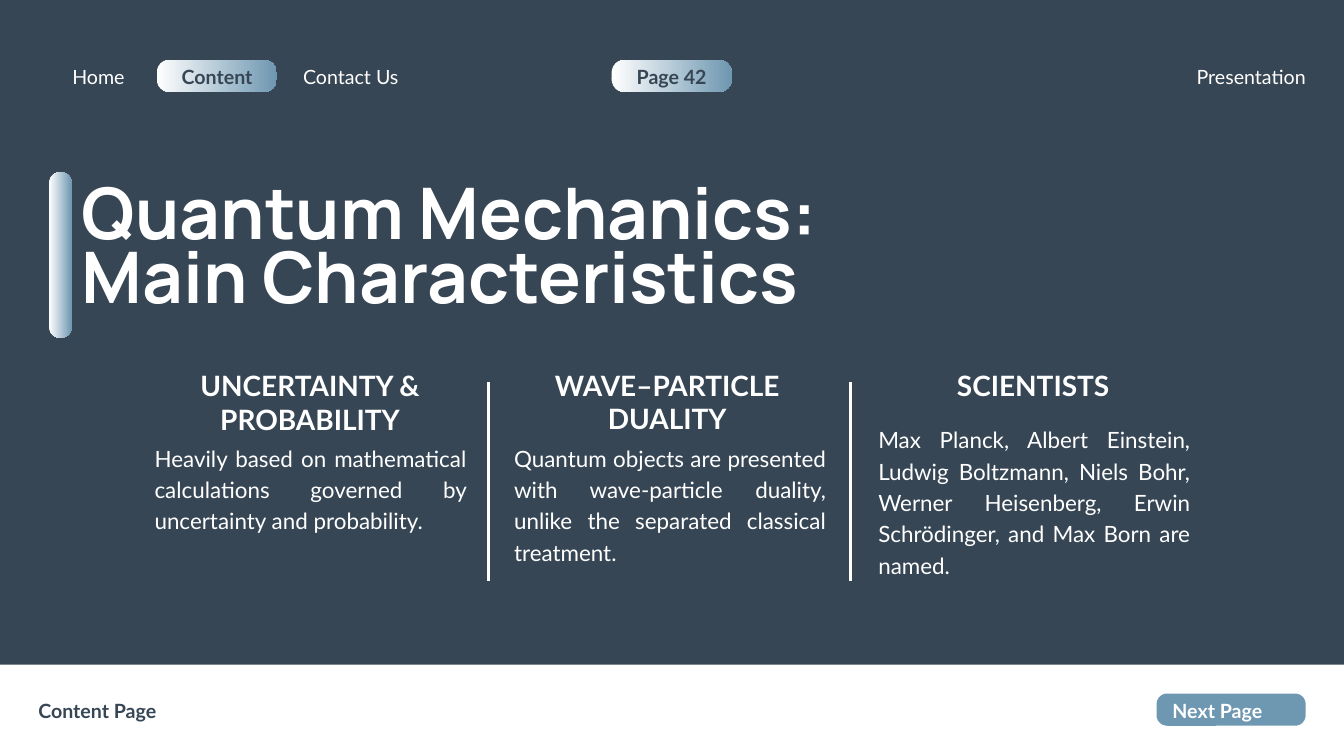
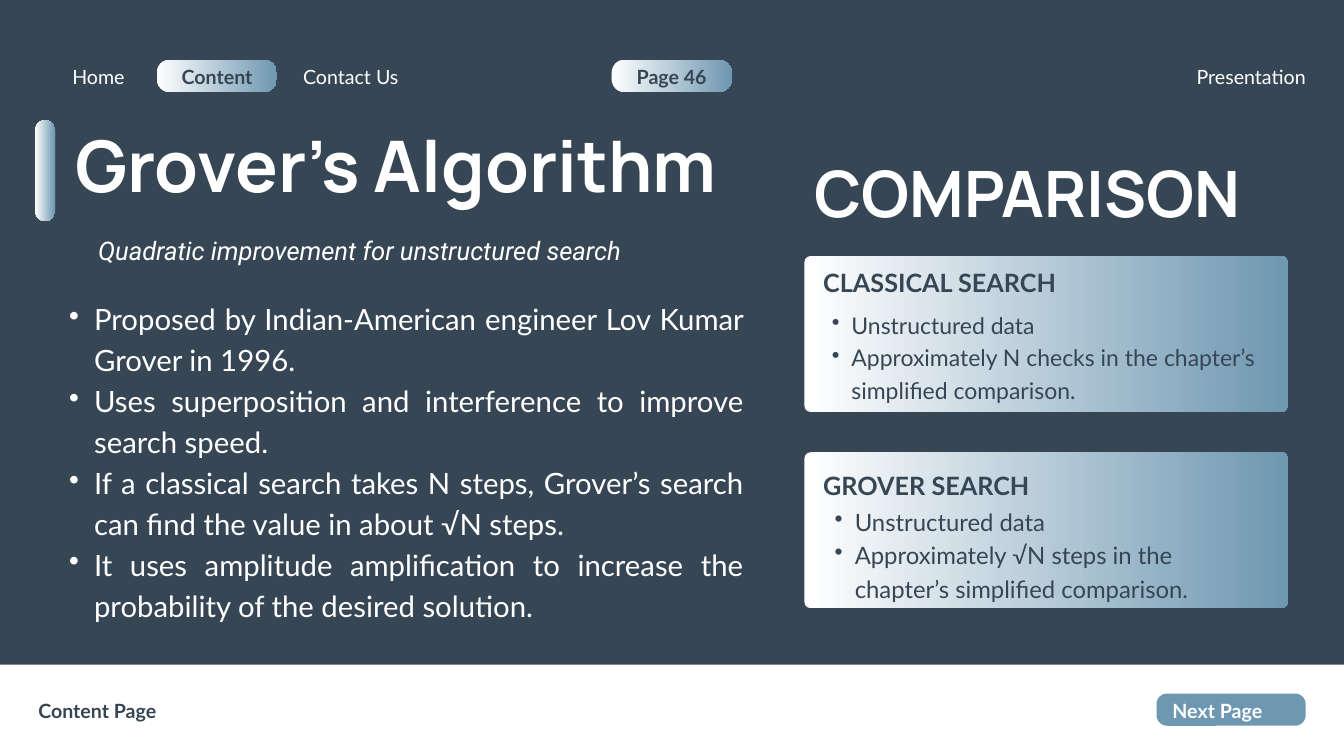
from lxml import etree
from pptx import Presentation
from pptx.dml.color import RGBColor
from pptx.enum.shapes import MSO_CONNECTOR, MSO_SHAPE
from pptx.enum.text import MSO_AUTO_SIZE, PP_ALIGN
from pptx.oxml.ns import qn
from pptx.util import Inches, Pt

LEFT, CENTER, RIGHT, JUSTIFY = PP_ALIGN.LEFT, PP_ALIGN.CENTER, PP_ALIGN.RIGHT, PP_ALIGN.JUSTIFY
RECT, ROUNDED = MSO_SHAPE.RECTANGLE, MSO_SHAPE.ROUNDED_RECTANGLE
STRAIGHT = MSO_CONNECTOR.STRAIGHT
FIT = MSO_AUTO_SIZE.SHAPE_TO_FIT_TEXT

COLORS = {"slate": "374654", "white": "FFFFFF", "blue": "6E97B1"}
GRADIENT = ("white", "blue")

# Text styles: line is the exact line spacing in points
NAV = {"size": 21, "line": 29.4, "align": CENTER}
NAV_DARK = {**NAV, "bold": True, "color": "slate"}
TITLE = {"name": "Manrope", "size": 76.2, "line": 68.5, "bold": True, "color": GRADIENT}
SIDE_TITLE = {**TITLE, "size": 68.5, "line": 61.6}
HEADING = {"size": 30, "line": 36, "bold": True, "align": CENTER}
BODY = {"size": 24, "line": 33.6, "align": JUSTIFY}
SUBTITLE = {"name": "Roboto", "size": 27.4, "line": 38.3, "italic": True, "align": JUSTIFY}
BULLETS = {"size": 31.4, "line": 43.9, "align": JUSTIFY, "hang": 0.37}
CARD_HEADING = {"size": 27, "line": 37.8, "bold": True, "color": "slate"}


def rgb(name):
    return RGBColor.from_string(COLORS[name])


def paint(fill, color):
    """Fill with one colour name, or left to right with a pair of names."""
    if isinstance(color, str):
        fill.solid()
        fill.fore_color.rgb = rgb(color)
        return
    fill.gradient()
    fill.gradient_angle = 0
    for stop, name in zip(fill.gradient_stops, color):
        stop.color.rgb = rgb(name)


def add_panel(s, box, color, radius=0):
    """Add a borderless rectangle; radius is a share of the shorter side."""
    shape = s.shapes.add_shape(ROUNDED if radius else RECT, *map(Inches, box))
    if radius:
        shape.adjustments[0] = radius
    shape.shadow.inherit = False
    shape.line.fill.background()
    paint(shape.fill, color)


def add_bullet(p, hang):
    p.level = 1
    pPr = p._p.get_or_add_pPr()
    pPr.set("marL", str(Inches(2 * hang)))
    pPr.set("indent", str(-Inches(hang)))
    etree.SubElement(pPr, qn("a:buChar")).set("char", "•")


def add_text(s, box, text, style):
    """Add a text box with one paragraph for each line of text."""
    tf = s.shapes.add_textbox(*map(Inches, box)).text_frame
    tf.word_wrap = True
    tf.auto_size = FIT
    for side in ("left", "right", "top", "bottom"):
        setattr(tf, f"margin_{side}", 0)
    tf.text = text
    font = {"name": "Lato", "size": Pt(style["size"])}
    font.update({k: style[k] for k in ("name", "bold", "italic") if k in style})
    for p in tf.paragraphs:
        if "hang" in style:
            add_bullet(p, style["hang"])
        p.alignment = style.get("align", LEFT)
        p.line_spacing = Pt(style["line"])
        r = p.runs[0]
        for key, value in font.items():
            setattr(r.font, key, value)
        paint(r.font.fill, style.get("color", "white"))


def add_divider(s, x, top, bottom):
    line = s.shapes.add_connector(STRAIGHT, *map(Inches, (x, bottom, x, top)))
    line.line.width = Pt(3)
    line.line.color.rgb = rgb("white")
    etree.SubElement(line._element.spPr, qn("a:effectLst"))


def add_base_slide(prs, page):
    """Add a slide with background, navigation bar and footer."""
    s = prs.slides.add_slide(prs.slide_layouts[6])
    paint(s.background.fill, "slate")

    # Bands and buttons
    for x in (9.1, 2.33):
        add_panel(s, (x, 0.89, 1.79, 0.48), GRADIENT, 0.41)
    add_panel(s, (0, 9.89, 20, 1.36), "white")
    add_panel(s, (17.21, 10.32, 2.22, 0.48), "blue", 0.33)

    # Navigation and footer labels
    labels = [
        (9.35, 0.91, 1.29, f"Page {page}", NAV_DARK),
        (2.59, 0.91, 1.28, "Content", NAV_DARK),
        (4.34, 0.91, 1.76, "Contact Us", NAV),
        (14.7, 0.91, 4.73, "Presentation", {**NAV, "align": RIGHT}),
        (0.82, 0.91, 1.29, "Home", NAV),
        (17.37, 10.34, 1.49, "Next Page", {**NAV, "bold": True}),
        (0.57, 10.34, 2.27, "Content Page", {**NAV_DARK, "align": LEFT}),
    ]
    for x, y, width, text, style in labels:
        add_text(s, (x, y, width, 0.39), text, style)
    return s


def add_title(s, bar, box, text):
    add_panel(s, bar, GRADIENT, 0.5)
    add_text(s, box, text, TITLE)


def add_column(s, heading_box, heading, body_box, body):
    add_text(s, heading_box, heading, HEADING)
    add_text(s, body_box, body, BODY)


def add_card(s, top, heading_y, heading, list_box, items, style):
    add_panel(s, (11.97, top, 7.19, 2.32), GRADIENT, 0.04)
    add_text(s, (12.25, heading_y, 4.09, 0.51), heading, CARD_HEADING)
    add_text(s, list_box, items, {**style, "color": "slate"})


def build_characteristics(prs):
    s = add_base_slide(prs, 42)
    add_title(s, (0.73, 2.56, 0.34, 2.47), (1.22, 2.82, 12.92, 2.05),
              "Quantum Mechanics: Main Characteristics")
    add_column(s, (2.63, 5.49, 3.97, 1.46), "UNCERTAINTY & PROBABILITY",
               (2.3, 6.55, 4.64, 1.81),
               "Heavily based on mathematical calculations governed by "
               "uncertainty and probability.")
    add_column(s, (7.95, 5.48, 3.96, 1.5), "WAVE–PARTICLE DUALITY",
               (7.65, 6.55, 4.64, 2.73),
               "Quantum objects are presented with wave-particle duality, "
               "unlike the separated classical treatment.")
    add_column(s, (13.07, 5.48, 4.61, 0.5), "SCIENTISTS",
               (13.07, 6.28, 4.64, 2.73),
               "Max Planck, Albert Einstein, Ludwig Boltzmann, Niels Bohr, "
               "Werner Heisenberg, Erwin Schrödinger, and Max Born are named.")
    for x in (7.27, 12.66):
        add_divider(s, x, 5.68, 8.64)


def build_grover(prs):
    s = add_base_slide(prs, 46)
    add_title(s, (0.52, 1.79, 0.3, 1.5), (1.12, 2.13, 10.57, 1.11), "Grover’s Algorithm")
    add_text(s, (1.46, 3.42, 9.06, 1.04),
             "Quadratic improvement for unstructured search", SUBTITLE)
    add_text(s, (0.66, 4.4, 10.41, 4.82), "\n".join([
        "Proposed by Indian-American engineer Lov Kumar Grover in 1996.",
        "Uses superposition and interference to improve search speed.",
        "If a classical search takes N steps, Grover’s search can find the value "
        "in about √N steps.",
        "It uses amplitude amplification to increase the probability of the "
        "desired solution.",
    ]), BULLETS)

    # Comparison cards
    add_text(s, (12.12, 2.57, 6.98, 1), "COMPARISON", SIDE_TITLE)
    add_card(s, 3.81, 3.91, "CLASSICAL SEARCH", (12.09, 4.57, 7.19, 1.4),
             "Unstructured data\n"
             "Approximately N checks in the chapter’s simplified comparison.",
             {"size": 24.6, "line": 34.5, "hang": 0.29})
    add_card(s, 6.73, 6.92, "GROVER SEARCH", (12.12, 7.48, 6.68, 1.45),
             "Unstructured data\n"
             "Approximately √N steps in the chapter’s simplified comparison.",
             {"size": 25.6, "line": 35.9, "hang": 0.3})


def main():
    prs = Presentation()
    prs.slide_width, prs.slide_height = Inches(20), Inches(11.25)
    build_characteristics(prs)
    build_grover(prs)
    prs.save("out.pptx")


if __name__ == "__main__":
    main()
